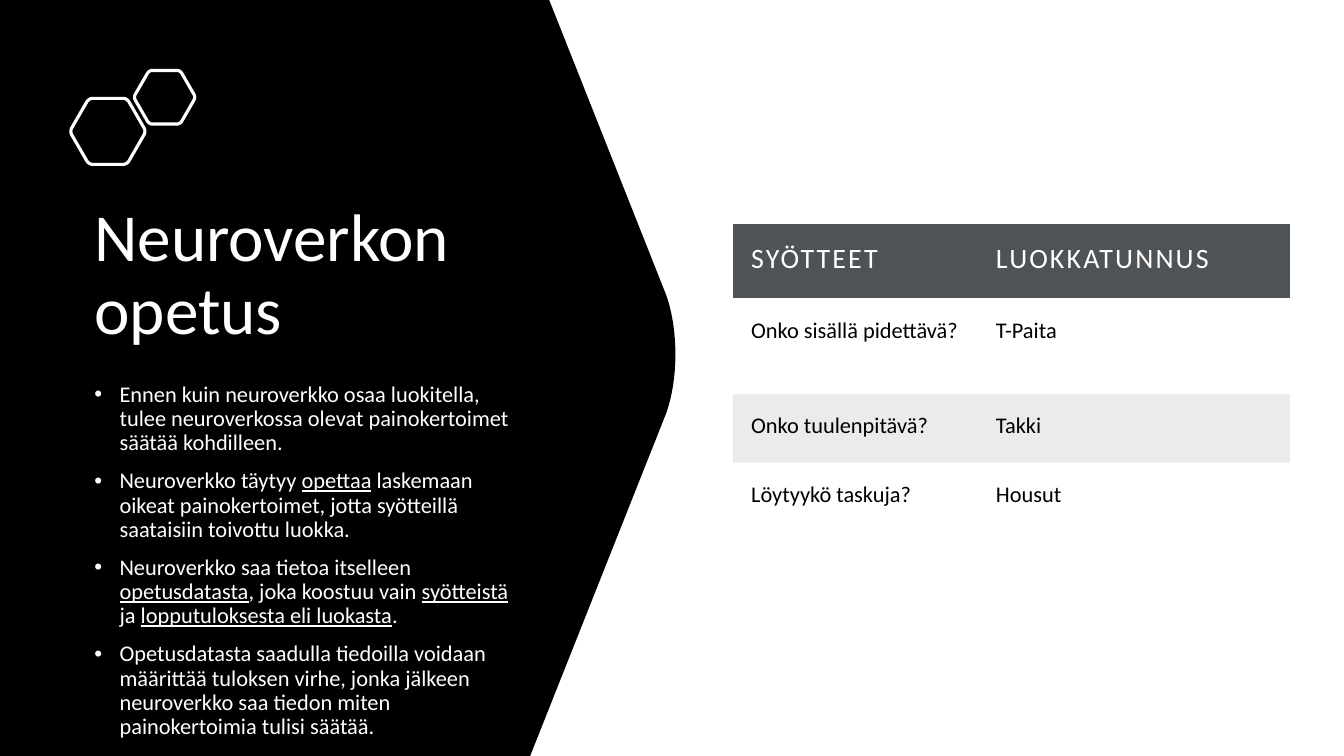
import math

from lxml import etree
from pptx import Presentation
from pptx import util as u
from pptx.dml.color import RGBColor
from pptx.enum import text
from pptx.oxml.ns import qn

BLACK = RGBColor(0x00, 0x00, 0x00)
WHITE = RGBColor(0xFF, 0xFF, 0xFF)
HEADER_GREY = RGBColor(0x50, 0x53, 0x56)
FONT = "Calibri"
NO_STYLE_NO_GRID = "{2D5ABB26-0587-4C30-8999-92F81FD0307C}"

TITLE = "Neuroverkon opetus"
# Underscores enclose underlined words
BULLETS = [
    "Ennen kuin neuroverkko osaa luokitella, tulee neuroverkossa olevat "
    "painokertoimet säätää kohdilleen.",
    "Neuroverkko täytyy _opettaa_ laskemaan oikeat painokertoimet, jotta "
    "syötteillä saataisiin toivottu luokka.",
    "Neuroverkko saa tietoa itselleen _opetusdatasta_, joka koostuu vain "
    "_syötteistä_ ja _lopputuloksesta eli luokasta_.",
    "Opetusdatasta saadulla tiedoilla voidaan määrittää tuloksen virhe, jonka "
    "jälkeen neuroverkko saa tiedon miten painokertoimia tulisi säätää.",
]
TABLE_ROWS = [
    ("SYÖTTEET", "LUOKKATUNNUS"),
    ("Onko sisällä pidettävä?", "T-Paita"),
    ("Onko tuulenpitävä?", "Takki"),
    ("Löytyykö taskuja?", "Housut"),
]
COLUMN_WIDTHS = (6.17, 7.87)
ROW_HEIGHTS = (1.88, 2.41, 1.73, 1.73)


def between(start, end, share):
    return tuple(a + (b - a) * share for a, b in zip(start, end))


def rounded_corner(start, corner, end, pull=0.58, steps=16):
    """Points of a Bézier curve from start to end, pulled towards corner."""
    controls = (start, between(start, corner, pull), between(end, corner, pull), end)
    points = []
    for step in range(steps + 1):
        t = step / steps
        weights = [math.comb(3, k) * t**k * (1 - t) ** (3 - k) for k in range(4)]
        points.append(tuple(sum(w * c[axis] for w, c in zip(weights, controls))
                            for axis in (0, 1)))
    return points


def add_outline(slide, points):
    points = [(u.Cm(x), u.Cm(y)) for x, y in points]
    builder = slide.shapes.build_freeform(*points[0])
    builder.add_line_segments(points[1:], close=True)
    shape = builder.convert_to_shape()
    shape.shadow.inherit = False
    return shape


def add_panel(slide):
    tip = rounded_corner((16.79, 7.44), (17.32, 8.93), (16.79, 10.41))
    panel = add_outline(slide, [(0, 0), (13.84, 0), *tip, (13.36, 19.05), (0, 19.05)])
    panel.fill.solid()
    panel.fill.fore_color.rgb = BLACK
    panel.line.fill.background()


def add_hexagon(slide, x, y, radius):
    corners = [(x + radius * math.cos(k * math.pi / 3),
                y + radius * math.sin(k * math.pi / 3)) for k in range(6)]
    points = []
    for k, corner in enumerate(corners):
        start = between(corner, corners[k - 1], 0.1)
        end = between(corner, corners[(k + 1) % 6], 0.1)
        points += rounded_corner(start, corner, end, steps=6)
    hexagon = add_outline(slide, points)
    hexagon.fill.background()
    hexagon.line.color.rgb = WHITE
    hexagon.line.width = u.Pt(2.25)


def add_run(paragraph, words, size, color):
    run = paragraph.add_run()
    run.text = words
    run.font.name = FONT
    run.font.size = u.Pt(size)
    run.font.color.rgb = color
    return run


def add_text_frame(slide, left, top, width, height, anchor):
    box = slide.shapes.add_textbox(u.Cm(left), u.Cm(top), u.Cm(width), u.Cm(height))
    frame = box.text_frame
    frame.word_wrap = True
    frame.vertical_anchor = anchor
    return frame


def add_title(slide):
    frame = add_text_frame(slide, 2.13, 2.87, 11.53, 6.05, text.MSO_ANCHOR.BOTTOM)
    paragraph = frame.paragraphs[0]
    paragraph.line_spacing = 0.9
    add_run(paragraph, TITLE, 48, WHITE)


def set_bullet(paragraph):
    properties = paragraph._p.get_or_add_pPr()
    properties.set("marL", str(u.Cm(0.635)))
    properties.set("indent", str(-u.Cm(0.635)))
    etree.SubElement(properties, qn("a:buFont")).set("typeface", "Arial")
    etree.SubElement(properties, qn("a:buChar")).set("char", "•")


def add_bullets(slide):
    frame = add_text_frame(slide, 2.13, 9.53, 11.33, 7.62, text.MSO_ANCHOR.TOP)
    for index, bullet in enumerate(BULLETS):
        paragraph = frame.add_paragraph() if index else frame.paragraphs[0]
        paragraph.line_spacing = 0.9
        paragraph.space_before = u.Pt(10)
        set_bullet(paragraph)
        for part, words in enumerate(bullet.split("_")):
            run = add_run(paragraph, words, 16, WHITE)
            if part % 2:
                run.font.underline = True


def fill_cell(cell, row):
    if row % 2:
        cell.fill.background()
        return
    cell.fill.solid()
    cell.fill.fore_color.rgb = BLACK if row else HEADER_GREY
    if row:
        color = cell._tc.tcPr.find(".//" + qn("a:srgbClr"))
        etree.SubElement(color, qn("a:alpha")).set("val", "8000")


def add_class_table(slide):
    frame = slide.shapes.add_table(
        len(ROW_HEIGHTS), len(COLUMN_WIDTHS), u.Cm(18.47), u.Cm(5.64),
        u.Cm(sum(COLUMN_WIDTHS)), u.Cm(sum(ROW_HEIGHTS)))
    table = frame.table
    table.horz_banding = False
    table._tbl.tblPr.find(qn("a:tableStyleId")).text = NO_STYLE_NO_GRID
    for column, width in zip(table.columns, COLUMN_WIDTHS):
        column.width = u.Cm(width)
    for row, height in enumerate(ROW_HEIGHTS):
        table.rows[row].height = u.Cm(height)
        for column, words in enumerate(TABLE_ROWS[row]):
            cell = table.cell(row, column)
            cell.margin_left = cell.margin_right = u.Cm(0.46)
            cell.margin_top = cell.margin_bottom = u.Cm(0.46)
            fill_cell(cell, row)
            paragraph = cell.text_frame.paragraphs[0]
            if row:
                add_run(paragraph, words, 16, BLACK)
            else:
                run = add_run(paragraph, words, 20, WHITE)
                run.font.bold = False
                run._r.get_or_add_rPr().set("spc", "150")


def main():
    presentation = Presentation()
    presentation.slide_width = u.Cm(33.87)
    presentation.slide_height = u.Cm(19.05)
    slide = presentation.slides.add_slide(presentation.slide_layouts[6])

    # Left side: panel, decoration and text
    add_panel(slide)
    add_title(slide)
    add_hexagon(slide, 2.72, 3.31, 0.96)
    add_hexagon(slide, 4.15, 2.45, 0.78)
    add_bullets(slide)

    # Right side: inputs and classes
    add_class_table(slide)

    presentation.save("out.pptx")


main()
